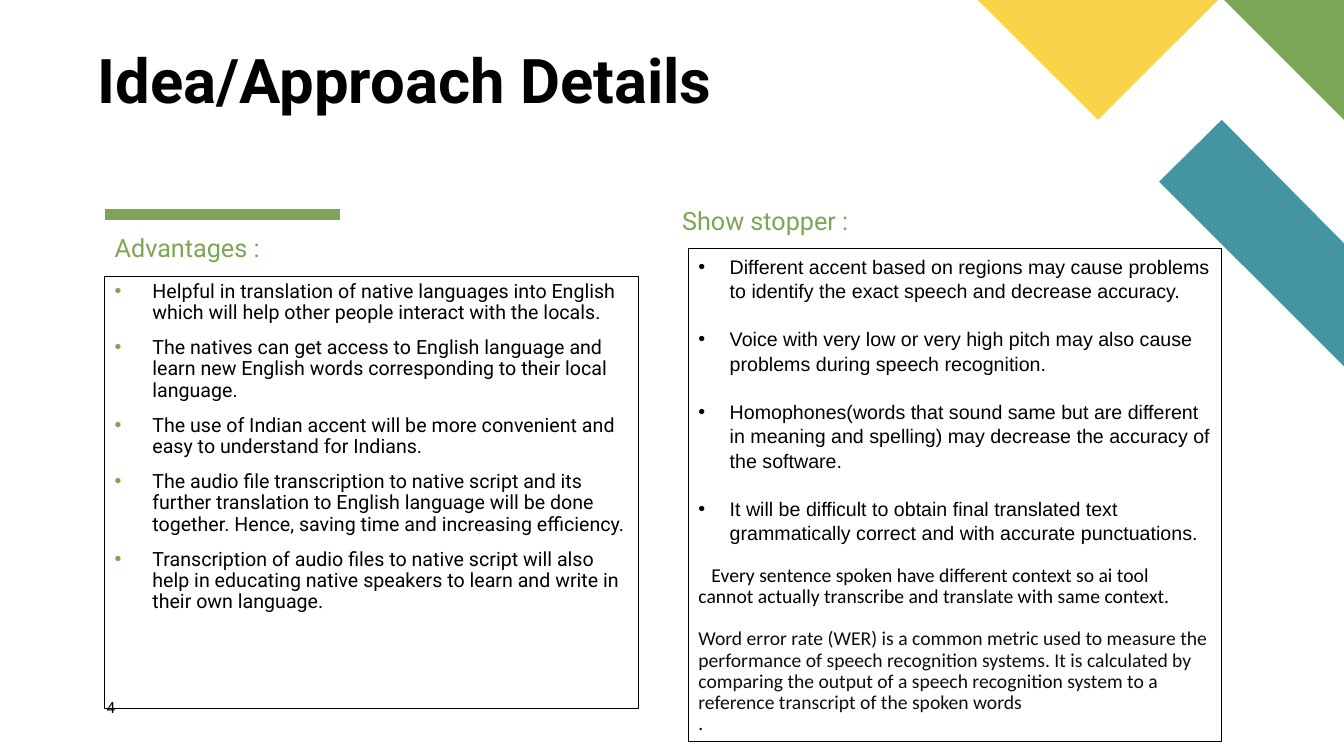
from lxml.etree import SubElement
from pptx import Presentation
from pptx.dml.color import RGBColor
from pptx.enum.shapes import MSO_CONNECTOR
from pptx.enum.text import MSO_ANCHOR, MSO_AUTO_SIZE, PP_ALIGN
from pptx.oxml.ns import qn
from pptx.util import Cm, Pt

GREEN, TEAL, GOLD = "7CA655", "4495A2", "F9D448"
BLACK, DARK = "000000", "0D0D0D"

GAINS = [
    "Helpful in translation of native languages into English which will help other people interact with the locals.",
    "The natives can get access to English language and learn new English words corresponding to their local language.",
    "The use of Indian accent will be more convenient and easy to understand for Indians.",
    "The audio file transcription to native script and its further translation to English language will be done together. Hence, saving time and increasing efficiency.",
    "Transcription of audio files to native script will also help in educating native speakers to learn and write in their own language.",
]
RISKS = [
    "Different accent based on regions may cause problems to identify the exact speech and decrease accuracy.",
    "Voice with very low or very high pitch may also cause problems during speech recognition.",
    "Homophones(words that sound same but are different in meaning and spelling) may decrease the accuracy of the software.",
    "It will be difficult to obtain final translated text grammatically correct and with accurate punctuations.",
]
NOTES = [
    ("Every sentence spoken have different context so ai tool\vcannot actually transcribe and translate with same context.", BLACK, 15, 0.33),
    ("Word error rate (WER) is a common metric used to measure the performance of speech recognition systems. It is calculated by comparing the output of a speech recognition system to a reference transcript of the spoken words", DARK, 15, 0),
    (".", BLACK, 0, 0),
]


def paint(color, value):
    color.rgb = RGBColor.from_string(value)


def place(shape, box):
    shape.left, shape.top, shape.width, shape.height = (Cm(n) for n in box)


def frame(shape, inset=True, anchor=MSO_ANCHOR.TOP):
    text = shape.text_frame
    text.word_wrap = True
    text.auto_size = MSO_AUTO_SIZE.NONE
    text.vertical_anchor = anchor
    text.margin_left = text.margin_right = Cm(0.25 if inset else 0)
    text.margin_top = text.margin_bottom = Cm(0.13 if inset else 0)
    return text


def write(text, words, size, face="Roboto", color=BLACK, bold=False,
          dot=None, hang=0, first=0, gap=0, pitch=0.9):
    para = text.paragraphs[0]
    if para.text:
        para = text.add_paragraph()
    para.text = words
    props = para._p.get_or_add_pPr()
    props.set("marL", str(Cm(hang)))
    props.set("indent", str(Cm(first - hang)))
    if dot:
        tint = SubElement(props, qn("a:buClr"))
        SubElement(tint, qn("a:srgbClr")).set("val", dot)
        SubElement(props, qn("a:buFont")).set("typeface", "Arial")
        SubElement(props, qn("a:buChar")).set("char", "•")
    else:
        SubElement(props, qn("a:buNone"))
    para.alignment = PP_ALIGN.LEFT
    para.line_spacing = pitch
    para.space_before = Pt(gap)
    para.space_after = Pt(0)
    para.font.name, para.font.size, para.font.bold = face, Pt(size), bold
    paint(para.font.color, color)


def decor(slide, box):
    x, y, w, h = box
    right = x + w
    bands = [
        (TEAL, [(0, 9.23), (0, 6.13), (-3.08, 3.02), (-4.66, 4.58)]),
        (GREEN, [(-3.02, 0), (0, 0), (0, 3.02)]),
        (GOLD, [(-9.23, 0), (-3.17, 0), (-6.2, 3.02)]),
    ]
    for color, spots in bands:
        points = [(Cm(right + a), Cm(y + b)) for a, b in spots]
        pen = slide.shapes.build_freeform(*points[0])
        pen.add_line_segments(points[1:], close=True)
        band = pen.convert_to_shape()
        band.shadow.inherit = False
        band.fill.solid()
        paint(band.fill.fore_color, color)
        band.line.fill.background()


def rule(slide, box):
    x, y, w, h = box
    bar = slide.shapes.add_connector(
        MSO_CONNECTOR.STRAIGHT, Cm(x), Cm(y), Cm(x + w), Cm(y + h))
    bar.line.width = Pt(8)
    paint(bar.line.color, GREEN)
    SubElement(bar._element.spPr, qn("a:effectLst"))


def title(holder, box):
    place(holder, box)
    text = frame(holder, False, MSO_ANCHOR.BOTTOM)
    write(text, "Idea/Approach Details", 44, bold=True)


def column(head, body, label, box, shift=0):
    x, y, w, h = box
    place(head, (x + shift, y - 1.15, w, 0.9))
    write(frame(head), label, 18, color=GREEN)
    place(body, box)
    body.line.width = Pt(0.75)
    paint(body.line.color, BLACK)
    return frame(body)


def gains(text):
    for rank, words in enumerate(GAINS):
        write(text, words, 14, dot=GREEN, hang=0.95, gap=10 if rank else 0)


def risks(text):
    for rank, words in enumerate(RISKS):
        write(text, words, 14, "Arial", dot=BLACK, hang=0.79,
              gap=16.8 if rank else 0, pitch=1.04)
    for words, color, gap, first in NOTES:
        write(text, words, 14, "Calibri", color, gap=gap, first=first)


def number(slide, box):
    label = slide.shapes.add_textbox(*(Cm(n) for n in box))
    write(frame(label, False), "4", 11, pitch=1.0)


def main():
    deck = Presentation()
    deck.slide_width, deck.slide_height = Cm(33.87), Cm(19.05)
    slide = deck.slides.add_slide(deck.slide_layouts[4])
    holders = slide.placeholders
    decor(slide, (0, 0, 33.87, 19.05))
    rule(slide, (2.64, 5.4, 5.94, 0))
    title(holders[0], (2.46, 1.24, 16.05, 1.7))
    gains(column(holders[1], holders[2], "Advantages :",
                 (2.64, 6.96, 13.44, 10.9)))
    number(slide, (2.69, 17.58, 1.45, 0.69))
    risks(column(holders[3], holders[4], "Show stopper :",
                 (17.35, 6.27, 13.44, 12.42), -0.41))
    deck.save("out.pptx")


if __name__ == "__main__":
    main()
